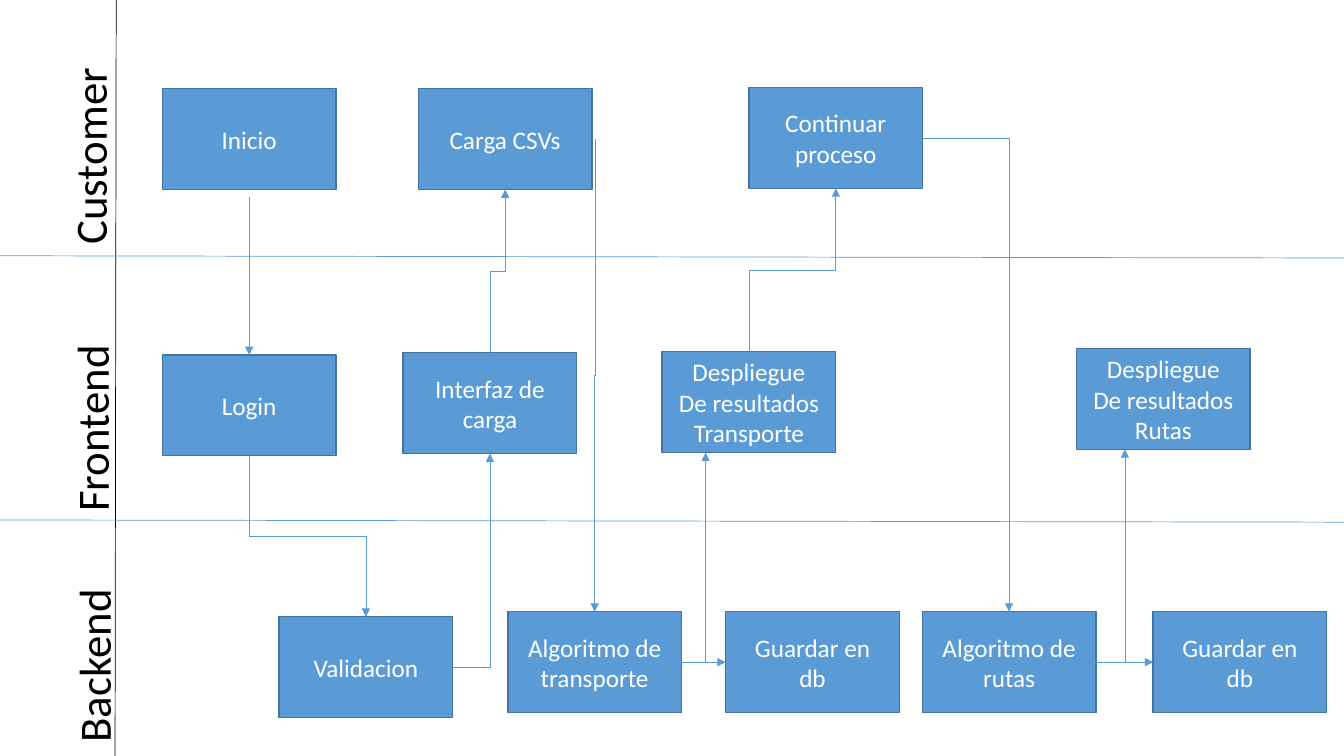
import pptx
import pptx.dml.color
import pptx.enum.shapes
import pptx.enum.text
import pptx.oxml
import pptx.oxml.ns
import pptx.util

Pt = pptx.util.Pt
TOP, LEFT, BOTTOM, RIGHT = range(4)


def color(value):
    return pptx.dml.color.RGBColor.from_string(value)


def apply(target, values):
    for name, value in values.items():
        setattr(target, name, value)


class Swimlanes:
    FILL, BORDER, INK, WHITE = "5B9BD5", "43739E", "000000", "FFFFFF"
    BOX_WIDTH, BOX_HEIGHT = 124, 72
    LABEL_WIDTH, LABEL_HEIGHT = 237, 46
    FONT = "Calibri"

    def __init__(self, slide):
        self.slide = slide

    def set_text(self, shape, text, size, ink, alignment):
        shape.text_frame.text = text
        for paragraph in shape.text_frame.paragraphs:
            paragraph.alignment = alignment
            apply(paragraph.runs[0].font, {"name": self.FONT, "size": Pt(size)})
            paragraph.runs[0].font.color.rgb = color(ink)

    def label(self, text, left, top):
        shape = self.slide.shapes.add_textbox(
            Pt(left), Pt(top), Pt(self.LABEL_WIDTH), Pt(self.LABEL_HEIGHT))
        shape.rotation = 270
        apply(shape.text_frame, {
            "word_wrap": True,
            "auto_size": pptx.enum.text.MSO_AUTO_SIZE.SHAPE_TO_FIT_TEXT})
        self.set_text(shape, text, 32, self.INK, pptx.enum.text.PP_ALIGN.LEFT)

    def box(self, text, left, top):
        shape = self.slide.shapes.add_shape(
            pptx.enum.shapes.MSO_SHAPE.RECTANGLE,
            Pt(left), Pt(top), Pt(self.BOX_WIDTH), Pt(self.BOX_HEIGHT))
        shape.shadow.inherit = False
        shape.fill.solid()
        shape.fill.fore_color.rgb = color(self.FILL)
        shape.line.color.rgb = color(self.BORDER)
        shape.line.width = Pt(1)
        shape.text_frame.vertical_anchor = pptx.enum.text.MSO_ANCHOR.MIDDLE
        self.set_text(shape, text, 18, self.WHITE, pptx.enum.text.PP_ALIGN.CENTER)
        return shape

    def point(self, end):
        """Return x and y in points for a (box, side) or an (x, y) end."""
        place, side = end
        if isinstance(place, (int, float)):
            return end
        across, down = {TOP: (0.5, 0), LEFT: (0, 0.5),
                        BOTTOM: (0.5, 1), RIGHT: (1, 0.5)}[side]
        return (place.left.pt + across * place.width.pt,
                place.top.pt + down * place.height.pt)

    def line(self, begin, end, ink=FILL, arrow=False, kind="STRAIGHT"):
        x1, y1 = self.point(begin)
        x2, y2 = self.point(end)
        connector = self.slide.shapes.add_connector(
            pptx.enum.shapes.MSO_CONNECTOR[kind], Pt(x1), Pt(y1), Pt(x2), Pt(y2))
        connector.line.color.rgb = color(ink)
        connector.line.width = Pt(0.5)
        properties = connector._element.spPr
        if arrow:
            tail = pptx.oxml.ns.qn("a:tailEnd")
            properties.find(pptx.oxml.ns.qn("a:ln")).append(
                properties.makeelement(tail, {"type": "triangle"}))
        properties.append(properties.makeelement(pptx.oxml.ns.qn("a:effectLst"), {}))
        return connector

    def straight_arrow(self, begin, end):
        connector = self.line(begin, end, arrow=True)
        for join, (place, side) in ((connector.begin_connect, begin),
                                    (connector.end_connect, end)):
            if not isinstance(place, (int, float)):
                join(place, side)

    def corner_arrow(self, begin, end):
        """Run across, then turn once up or down."""
        connector = self.line(begin, end, arrow=True, kind="ELBOW")
        geometry = connector._element.spPr.find(pptx.oxml.ns.qn("a:prstGeom"))
        geometry.set("prst", "bentConnector2")

    def step_arrow(self, begin, end):
        """Run vertically, across at half height, then vertically again."""
        (x1, y1), (x2, y2) = self.point(begin), self.point(end)
        middle_x, middle_y = (x1 + x2) / 2, (y1 + y2) / 2
        half_x, half_y = (y2 - y1) / 2, (x1 - x2) / 2
        # An elbow starts sideways, so it is laid out flat and turned by 90 degrees
        connector = self.line((middle_x - half_x, middle_y - half_y),
                              (middle_x + half_x, middle_y + half_y),
                              arrow=True, kind="ELBOW")
        transform = connector._element.spPr.find(pptx.oxml.ns.qn("a:xfrm"))
        transform.set("rot", str(90 * 60000))


def main():
    presentation = pptx.Presentation()
    apply(presentation, {"slide_width": Pt(960), "slide_height": Pt(540)})
    lanes = Swimlanes(presentation.slides.add_slide(presentation.slide_layouts[6]))

    # Lane borders and names
    lanes.line((83, 0), (82.2, 540), ink=lanes.INK)
    for height in (182.7, 371.4):
        lanes.line((0, height), (960, height + 1.6))
    for name, left, top in (("Customer", -54.7, 40.3), ("Frontend", -53.3, 231.1),
                            ("Backend", -51.8, 396)):
        lanes.label(name, left, top)

    # Customer steps
    start = lanes.box("Inicio", 116, 63.4)
    upload = lanes.box("Carga CSVs", 298.8, 63.4)
    proceed = lanes.box("Continuar\nproceso", 535, 62.6)

    # Frontend steps
    login = lanes.box("Login", 116, 253.6)
    upload_page = lanes.box("Interfaz de carga", 288, 252)
    transport_results = lanes.box("Despliegue\nDe resultados\nTransporte", 473, 251.2)
    route_results = lanes.box("Despliegue\nDe resultados\nRutas", 769, 249)

    # Backend steps
    backend_top = 437
    validation = lanes.box("Validacion", 199.4, 440.6)
    transport = lanes.box("Algoritmo de\ntransporte", 362.8, backend_top)
    save_transport = lanes.box("Guardar en\ndb", 518.4, backend_top)
    routes = lanes.box("Algoritmo de rutas", 658.8, backend_top)
    save_routes = lanes.box("Guardar en\ndb", 823.7, backend_top)

    # Flow from step to step
    backend_middle = backend_top + lanes.BOX_HEIGHT / 2
    for begin, end in (((178, 140.4), (login, TOP)),
                       ((504, backend_middle), (save_transport, LEFT)),
                       ((routes, RIGHT), (save_routes, LEFT))):
        lanes.straight_arrow(begin, end)
    for begin, end in (((login, BOTTOM), (validation, TOP)),
                       ((upload_page, TOP), (upload, BOTTOM)),
                       ((425.5, 99.4), (transport, TOP)),
                       ((transport_results, TOP), (proceed, BOTTOM))):
        lanes.step_arrow(begin, end)
    for begin, end in (((validation, RIGHT), (upload_page, BOTTOM)),
                       ((455, backend_middle), (504, 323.3)),
                       ((proceed, RIGHT), (routes, TOP)),
                       ((755, backend_middle), (803.5, 321))):
        lanes.corner_arrow(begin, end)

    presentation.save("out.pptx")


if __name__ == "__main__":
    main()
